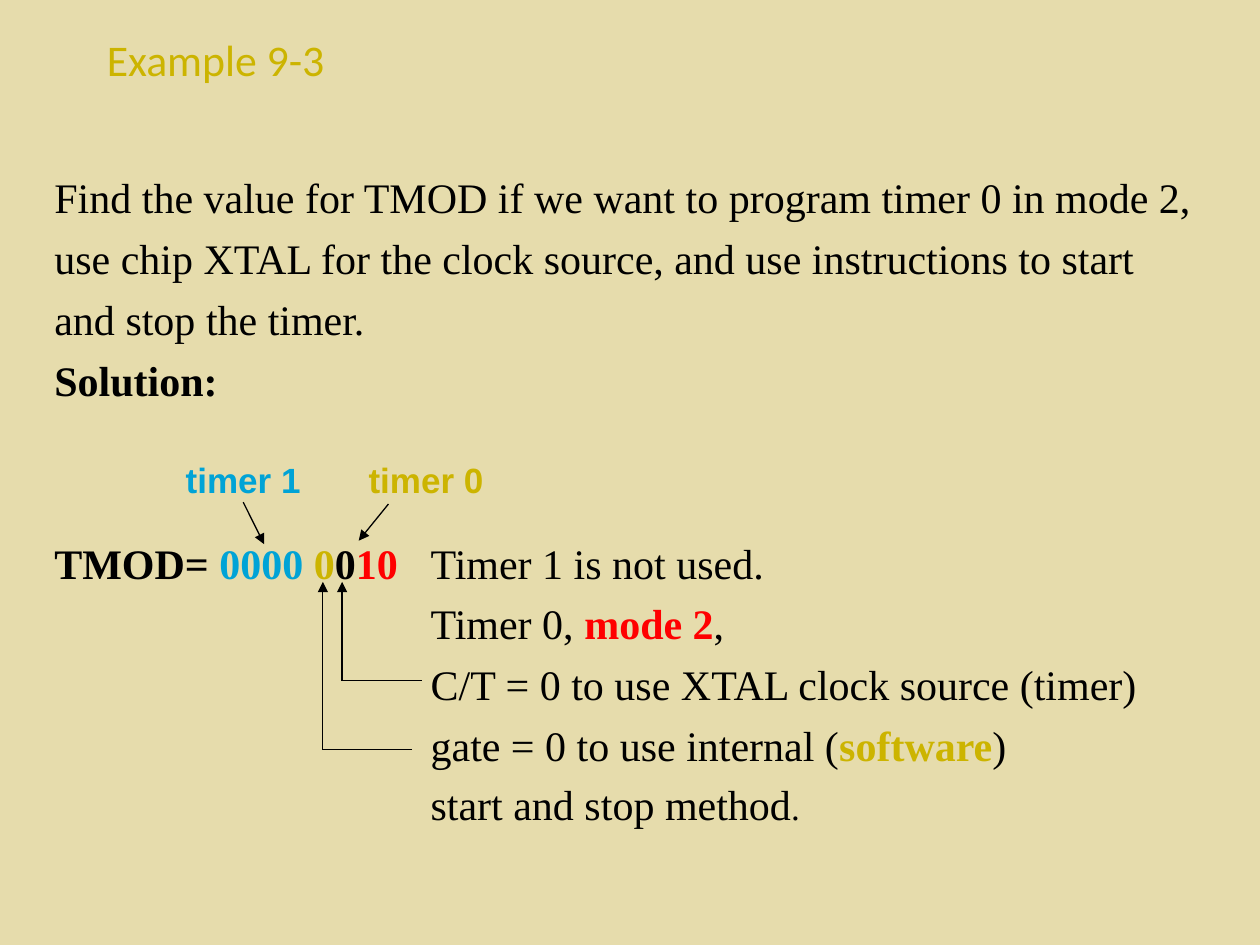
from pptx import Presentation
from pptx.dml.color import RGBColor
from pptx.enum.shapes import MSO_CONNECTOR as Connector
from pptx.oxml.ns import qn
from pptx.util import Pt
from lxml.etree import SubElement

BLACK, BLUE, GOLD, RED = "000000", "00A3D6", "CCB400", "FF0000"
SERIF = "Times New Roman"
NOTE_INDENT = 215


def paint(fill, color):
    """Give a fill one solid colour."""
    fill.solid()
    fill.fore_color.rgb = RGBColor.from_string(color)


def add_box(slide, left, top, width, height):
    """Add a wrapping text box and return its text frame."""
    frame = slide.shapes.add_textbox(Pt(left), Pt(top), Pt(width), Pt(height)).text_frame
    frame.word_wrap = True
    return frame


def set_tab(paragraph, position):
    """Add one left tab stop to a paragraph."""
    tabs = SubElement(paragraph._p.get_or_add_pPr(), qn("a:tabLst"))
    SubElement(tabs, qn("a:tab"), pos=str(Pt(position)), algn="l")


def add_runs(paragraph, pieces, font, size):
    """Append runs given as (text, colour, bold) to a paragraph."""
    for text, color, bold in pieces:
        run = paragraph.add_run()
        run.text = text
        run.font.name, run.font.size, run.font.bold = font, Pt(size), bold
        paint(run.font.fill, color)


def add_line(slide, start, end, arrow=False):
    """Draw a thin black line, with an arrowhead at its end if asked."""
    line = slide.shapes.add_connector(Connector.STRAIGHT, *map(Pt, start + end))
    line.line.width = Pt(0.75)
    paint(line.line.fill, BLACK)
    if arrow:
        SubElement(line.line._get_or_add_ln(), qn("a:tailEnd"), type="triangle")
    SubElement(line._element.spPr, qn("a:effectLst"))


def add_body(slide):
    """Write the question, the register value and its explanation."""
    question = [
        "Find the value for TMOD if we want to program timer 0 in mode 2,",
        "use chip XTAL for the clock source, and use instructions to start",
        "and stop the timer.",
    ]
    register = [("TMOD= ", BLACK, True), ("0000 ", BLUE, True), ("0", GOLD, True),
                ("0", BLACK, True), ("10", RED, True),
                ("\tTimer 1 is not used.", BLACK, False)]
    notes = [
        [("Timer 0, ", BLACK, False), ("mode 2", RED, True), (",", BLACK, False)],
        [("C/T = 0 to use XTAL clock source (timer)", BLACK, False)],
        [("gate = 0 to use internal (", BLACK, False), ("software", GOLD, True),
         (")", BLACK, False)],
        [("start and stop method", BLACK, False)],
    ]
    rows = [[(text, BLACK, False)] for text in question]
    rows += [[("Solution:", BLACK, True)], register] + notes
    frame = add_box(slide, 24, 94.5, 670, 408)
    for index, pieces in enumerate(rows):
        paragraph = frame.add_paragraph() if index else frame.paragraphs[0]
        paragraph.line_spacing = Pt(28.8)
        if index:
            paragraph.space_before = Pt(6)
        if pieces is register:
            paragraph.space_before = Pt(75.6)
            set_tab(paragraph, NOTE_INDENT)
        if pieces in notes:
            paragraph._p.get_or_add_pPr().set("marL", str(Pt(NOTE_INDENT)))
        add_runs(paragraph, pieces, SERIF, 24)
    paragraph.space_before = Pt(5)
    add_runs(paragraph, [(".", BLACK, False)], SERIF, 20)


def add_timer_labels(slide):
    """Name the two halves of the register and point at them."""
    labels = add_box(slide, 99, 258.5, 204, 32).paragraphs[0]
    set_tab(labels, 104.5)
    add_runs(labels, [("timer 1", BLUE, True), ("\ttimer 0", GOLD, True)], "Arial", 20)
    add_line(slide, (139, 287), (151, 311), arrow=True)
    add_line(slide, (222, 288), (205, 309), arrow=True)


def add_bit_pointer(slide, bit_x, note_x, note_y):
    """Link an explanation to its bit with an elbow and an arrow."""
    add_line(slide, (note_x, note_y), (bit_x, note_y))
    add_line(slide, (bit_x, note_y), (bit_x, 332.5), arrow=True)


def main():
    """Build the slide and save it."""
    deck = Presentation()
    deck.slide_width, deck.slide_height = Pt(720), Pt(540)
    slide = deck.slides.add_slide(deck.slide_layouts[6])
    paint(slide.background.fill, "E6DCAC")
    title = add_box(slide, 54, 15, 612, 35).paragraphs[0]
    add_runs(title, [("Example 9-3", GOLD, False)], "Calibri", 25)
    add_body(slide)
    add_bit_pointer(slide, 184.5, 235.5, 428.5)
    add_bit_pointer(slide, 195.5, 241, 389)
    add_timer_labels(slide)
    deck.save("out.pptx")


if __name__ == "__main__":
    main()
